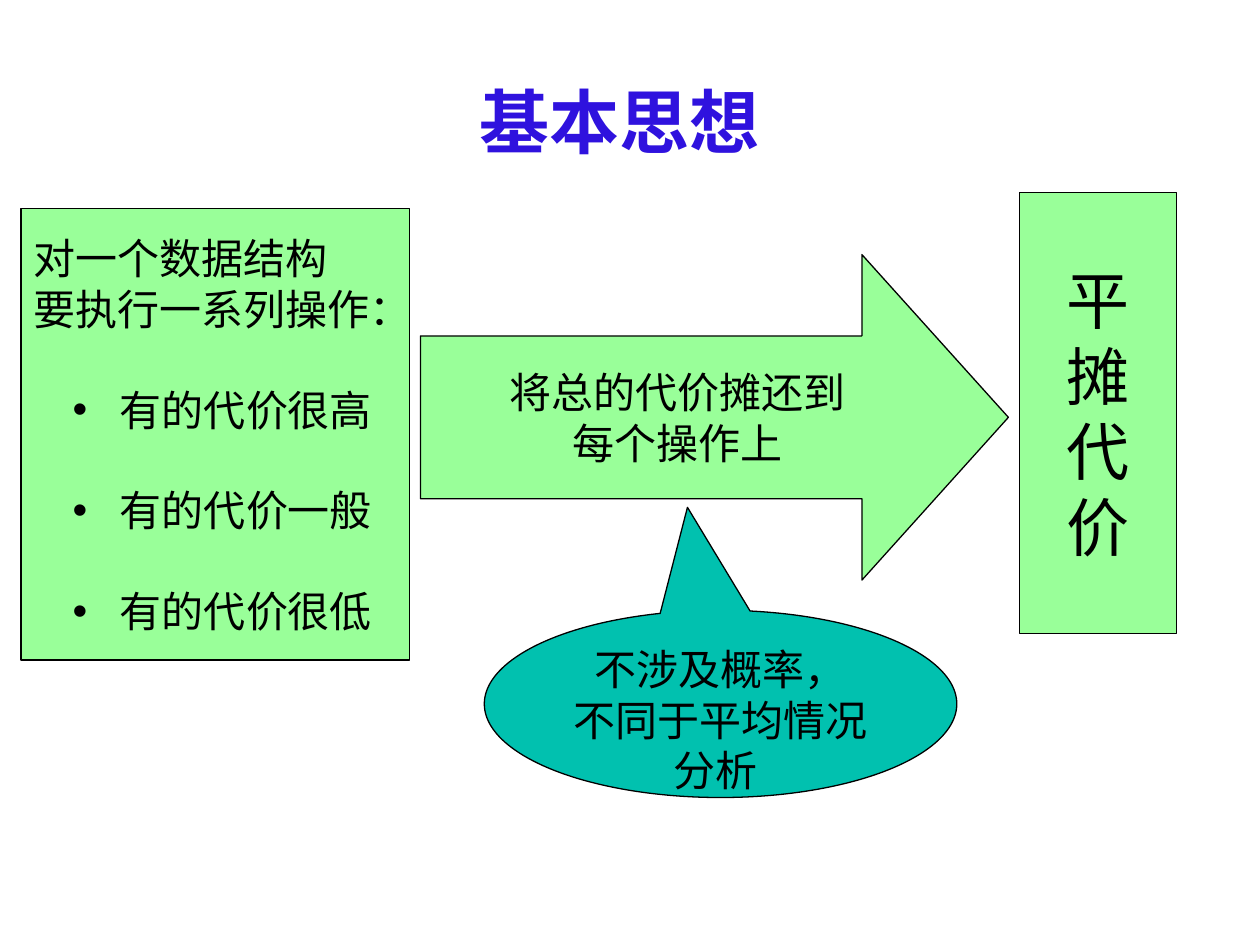
from lxml.etree import SubElement
from pptx import Presentation
from pptx.dml.color import RGBColor
from pptx.enum.shapes import MSO_SHAPE as SHAPE
from pptx.enum.text import MSO_ANCHOR as ANCHOR, PP_ALIGN as ALIGN
from pptx.oxml.ns import qn
from pptx.util import Pt

BLACK = RGBColor(0x00, 0x00, 0x00)
BLUE = RGBColor(0x2F, 0x12, 0xDE)
GREEN = RGBColor(0x99, 0xFF, 0x99)
TEAL = RGBColor(0x01, 0xC1, 0xAF)
BODY_FONT = "Times New Roman"
TITLE_FONT = "Noto Sans CJK SC"


def add_text(p, text, size=24, font=BODY_FONT, color=BLACK, bold=False,
             align=ALIGN.CENTER, before=0, bullet=False):
    p.alignment = align
    p.space_before = Pt(before)
    if bullet:
        pPr = p._p.get_or_add_pPr()
        pPr.set("marL", str(Pt(27)))
        pPr.set("indent", str(-Pt(27)))
        SubElement(pPr, qn("a:buFont"), typeface="Arial")
        SubElement(pPr, qn("a:buChar"), char="•")
    r = p.add_run()
    r.text = text
    r.font.size = Pt(size)
    r.font.name = font
    r.font.bold = bold
    r.font.color.rgb = color


def add_lines(tf, lines, **fmt):
    for i, line in enumerate(lines):
        p = tf.paragraphs[0] if i == 0 else tf.add_paragraph()
        add_text(p, line, **fmt)


def add_box(s, kind, box, fill=GREEN, adjustments=(), wrap=False, anchor=ANCHOR.MIDDLE):
    sp = s.shapes.add_shape(kind, *map(Pt, box))
    sp.shadow.inherit = False
    sp.fill.solid()
    sp.fill.fore_color.rgb = fill
    sp.line.color.rgb = BLACK
    sp.line.width = Pt(0.75)
    for i, value in enumerate(adjustments):
        sp.adjustments[i] = value
    tf = sp.text_frame
    tf.word_wrap = wrap
    tf.vertical_anchor = anchor
    return tf


def add_title(s, box):
    title = s.shapes.title
    title.left, title.top, title.width, title.height = map(Pt, box)
    tf = title.text_frame
    tf.vertical_anchor = ANCHOR.MIDDLE
    add_text(tf.paragraphs[0], "基本思想", size=40, font=TITLE_FONT, color=BLUE, bold=True)


def add_operations(s, box):
    tf = add_box(s, SHAPE.RECTANGLE, box)
    add_lines(tf, ["对一个数据结构", "要执行一系列操作："], align=ALIGN.JUSTIFY)
    for level in ["很高", "一般", "很低"]:
        add_text(tf.add_paragraph(), "有的代价" + level, before=28.8, bullet=True)


def add_spreading(s, box):
    tf = add_box(s, SHAPE.RIGHT_ARROW, box, adjustments=(0.5, 0.45))
    add_lines(tf, ["将总的代价摊还到", "每个操作上"])


def add_amortized_cost(s, box):
    tf = add_box(s, SHAPE.RECTANGLE, box)
    add_lines(tf, "平摊代价", size=36)


def add_remark(s, box):
    tf = add_box(s, SHAPE.OVAL_CALLOUT, box, fill=TEAL, adjustments=(-0.07, -1.05),
                 wrap=True, anchor=ANCHOR.TOP)
    add_lines(tf, ["不涉及概率，", "不同于平均情况分析 "])


def main():
    prs = Presentation()
    prs.slide_width, prs.slide_height = Pt(720), Pt(540)
    s = prs.slides.add_slide(prs.slide_layouts[5])
    add_title(s, (30, 24, 648, 90))
    add_operations(s, (12, 119.25, 222, 258))
    add_spreading(s, (240.25, 145.5, 336, 186))
    add_amortized_cost(s, (582.5, 110, 90, 252))
    add_remark(s, (276.75, 348.75, 270, 107))
    prs.save("out.pptx")


if __name__ == "__main__":
    main()
